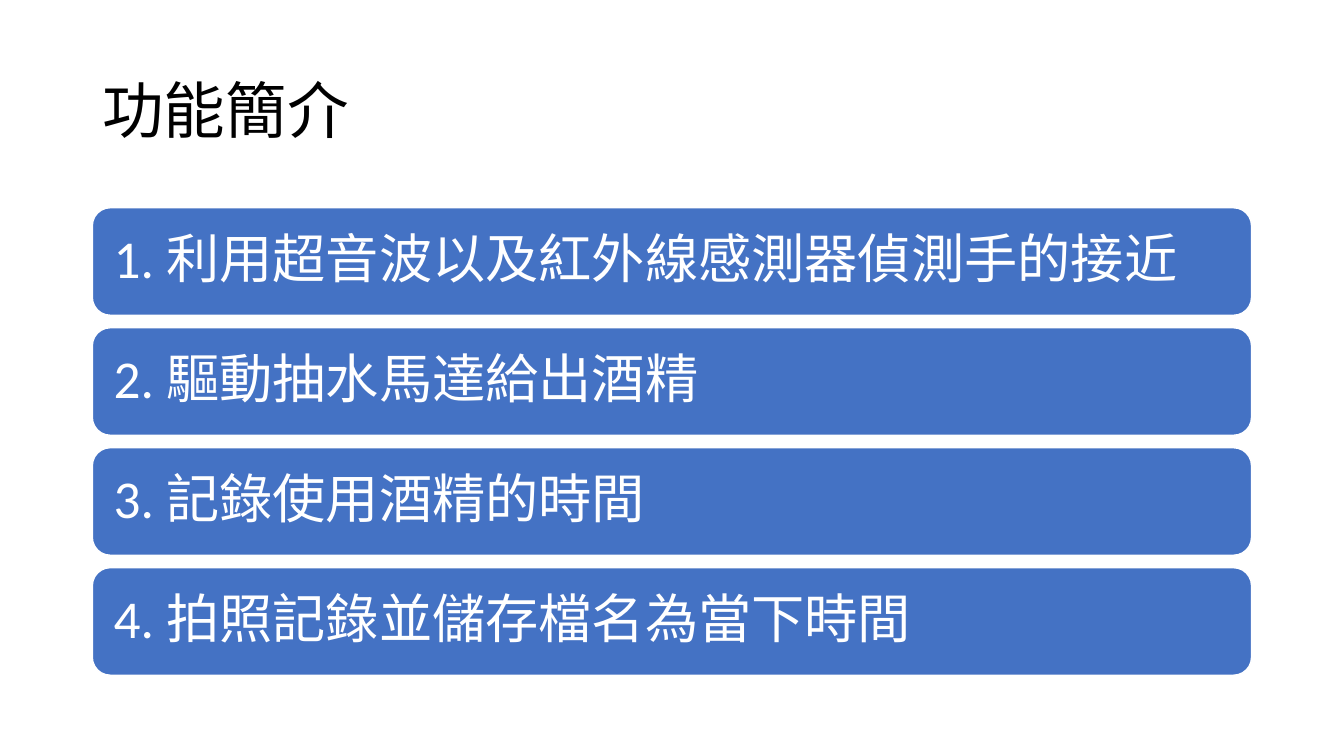
from pptx import Presentation
from pptx.dml.color import RGBColor
from pptx.enum.shapes import MSO_SHAPE
from pptx.enum.text import MSO_ANCHOR, PP_ALIGN
from pptx.util import Pt

ROUNDED = MSO_SHAPE.ROUNDED_RECTANGLE
MIDDLE = MSO_ANCHOR.MIDDLE
LEFT = PP_ALIGN.LEFT

BLACK = RGBColor(0x00, 0x00, 0x00)
WHITE = RGBColor(0xFF, 0xFF, 0xFF)
BLUE = RGBColor(0x44, 0x72, 0xC4)

EDGE, WIDTH = 66, 828
BAR_TOP, BAR_HEIGHT, BAR_STEP = 148.4, 76.8, 85.7
BAR_INSET = 11.5

FEATURES = [
    "利用超音波以及紅外線感測器偵測手的接近",
    "驅動抽水馬達給出酒精",
    "記錄使用酒精的時間",
    "拍照記錄並儲存檔名為當下時間",
]


def write(shape, text, size, color):
    frame = shape.text_frame
    frame.word_wrap = True
    frame.vertical_anchor = MIDDLE
    line = frame.paragraphs[0]
    line.text = text
    line.alignment = LEFT
    line.line_spacing = 0.9
    line.font.name = "Calibri"
    line.font.size = Pt(size)
    line.font.color.rgb = color


deck = Presentation()
deck.slide_width, deck.slide_height = Pt(960), Pt(540)
slide = deck.slides.add_slide(deck.slide_layouts[6])

title = slide.shapes.add_textbox(Pt(EDGE), Pt(28.75), Pt(WIDTH), Pt(104.4))
write(title, "功能簡介", 44, BLACK)

for index, feature in enumerate(FEATURES):
    top = BAR_TOP + index * BAR_STEP
    bar = slide.shapes.add_shape(ROUNDED, Pt(EDGE), Pt(top), Pt(WIDTH), Pt(BAR_HEIGHT))
    bar.shadow.inherit = False
    bar.fill.solid()
    bar.fill.fore_color.rgb = BLUE
    bar.line.color.rgb = WHITE
    bar.line.width = Pt(1)
    frame = bar.text_frame
    frame.margin_left = frame.margin_right = Pt(BAR_INSET)
    frame.margin_top = frame.margin_bottom = Pt(BAR_INSET)
    write(bar, f"{index + 1}. {feature}", 38, WHITE)

deck.save("out.pptx")
